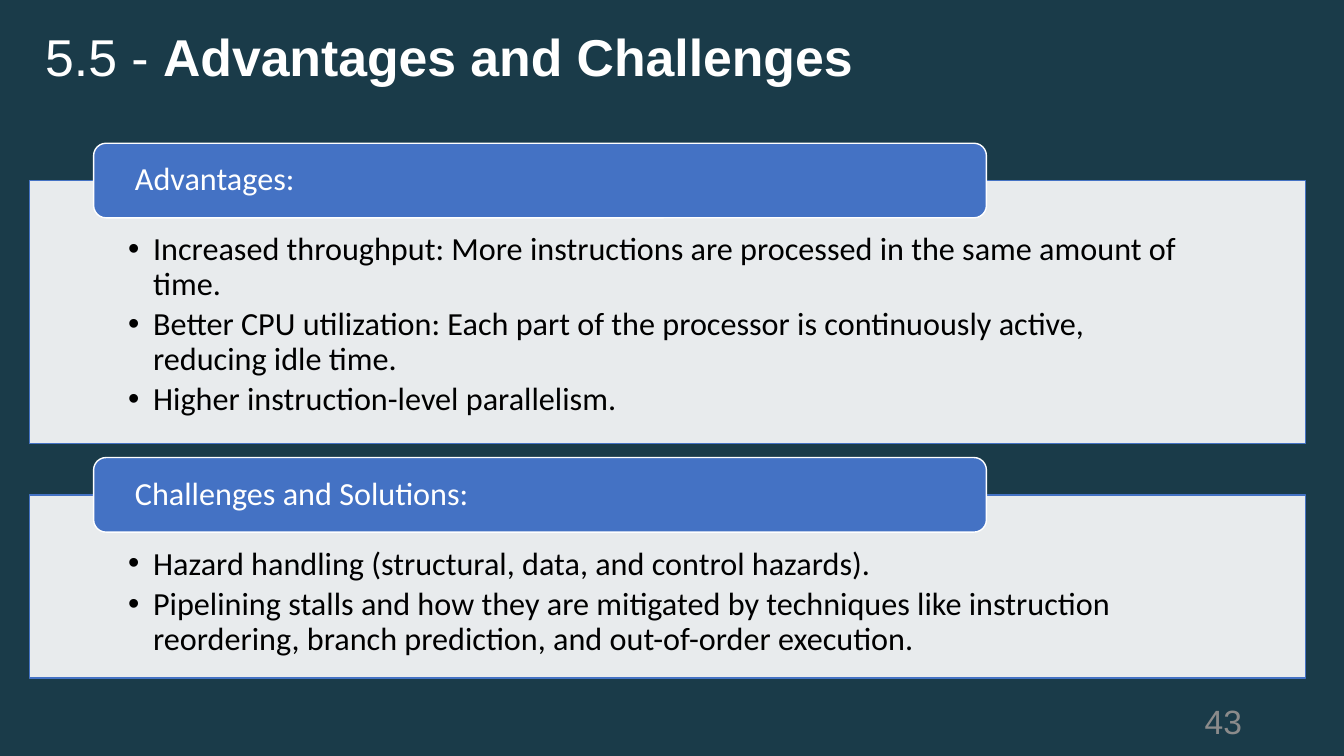
from lxml import etree
from pptx import Presentation
from pptx.dml.color import RGBColor
from pptx.enum.shapes import MSO_SHAPE
from pptx.enum.text import MSO_ANCHOR, PP_ALIGN
from pptx.oxml.ns import qn
from pptx.util import Cm, Pt

RECTANGLE = MSO_SHAPE.RECTANGLE
ROUNDED = MSO_SHAPE.ROUNDED_RECTANGLE
TOP, MIDDLE = MSO_ANCHOR.TOP, MSO_ANCHOR.MIDDLE
LEFT, RIGHT = PP_ALIGN.LEFT, PP_ALIGN.RIGHT

NAVY, BLUE, WHITE, BLACK, GREY = "1A3B49", "4472C4", "FFFFFF", "000000", "8B8B8B"

# Heading, top and height of the panel, bullets
SECTIONS = [
    ("Advantages:", 4.55, 6.63, [
        "Increased throughput: More instructions are processed in the same amount of time.",
        "Better CPU utilization: Each part of the processor is continuously active, reducing idle time.",
        "Higher instruction-level parallelism.",
    ]),
    ("Challenges and Solutions:", 12.47, 4.62, [
        "Hazard handling (structural, data, and control hazards).",
        "Pipelining stalls and how they are mitigated by techniques like instruction "
        "reordering, branch prediction, and out-of-order execution.",
    ]),
]
TAB_HEIGHT = 1.88


def color(hex_code):
    return RGBColor.from_string(hex_code)


def add_panel(kind, left, top, width, height, fill, line, anchor, side, above, below):
    """Add a filled shape with the given text margins and return it."""
    panel = slide.shapes.add_shape(kind, Cm(left), Cm(top), Cm(width), Cm(height))
    panel.shadow.inherit = False
    panel.fill.solid()
    panel.fill.fore_color.rgb = color(fill)
    panel.line.color.rgb = color(line)
    panel.line.width = Pt(1)
    frame = panel.text_frame
    frame.word_wrap = True
    frame.vertical_anchor = anchor
    frame.margin_left = frame.margin_right = Cm(side)
    frame.margin_top, frame.margin_bottom = Cm(above), Cm(below)
    return panel


prs = Presentation()
prs.slide_width, prs.slide_height = Cm(33.87), Cm(19.05)
slide = prs.slides.add_slide(prs.slide_layouts[6])
slide.background.fill.solid()
slide.background.fill.fore_color.rgb = color(NAVY)

# Title and page number
title = slide.shapes.add_textbox(Cm(0.89), Cm(0.64), Cm(29.21), Cm(1.73)).text_frame
page_number = slide.shapes.add_textbox(Cm(23.93), Cm(17.65), Cm(7.62), Cm(1.02)).text_frame
for frame, runs, size, ink, align in [
    (title, [("5.5 - ", False), ("Advantages and Challenges", True)], 37, WHITE, LEFT),
    (page_number, [("43", False)], 24, GREY, RIGHT),
]:
    frame.word_wrap = True
    frame.vertical_anchor = MIDDLE
    line = frame.paragraphs[0]
    line.alignment = align
    line.font.name, line.font.size = "Arial", Pt(size)
    line.font.color.rgb = color(ink)
    for text, bold in runs:
        run = line.add_run()
        run.text = text
        run.font.bold = bold
title.paragraphs[0].line_spacing = 0.9

# Each section is a pale panel with a heading tab across its top edge
for heading, top, height, bullets in SECTIONS:
    body = add_panel(RECTANGLE, 0.74, top, 32.16, height, WHITE, BLUE, TOP, 2.49, 1.32, 0.46)
    fill_color = body.fill._xPr.find(qn("a:solidFill"))[0]
    etree.SubElement(fill_color, qn("a:alpha"), val="90000")
    tab = add_panel(ROUNDED, 2.36, top - TAB_HEIGHT / 2, 22.5, TAB_HEIGHT,
                    BLUE, WHITE, MIDDLE, 0.95, 0, 0)

    body.text_frame.text = "\n".join(bullets)
    tab.text_frame.text = heading
    for panel, ink in [(body, BLACK), (tab, WHITE)]:
        for paragraph in panel.text_frame.paragraphs:
            paragraph.alignment = LEFT
            paragraph.line_spacing = 0.9
            if panel is body:
                paragraph.space_after = Pt(4)
                properties = paragraph._p.get_or_add_pPr()
                properties.set("marL", str(Cm(0.63)))
                properties.set("indent", str(Cm(-0.63)))
                etree.SubElement(properties, qn("a:buFont"), typeface="Arial")
                etree.SubElement(properties, qn("a:buChar"), char="•")
            paragraph.font.name, paragraph.font.size = "Calibri", Pt(23)
            paragraph.font.color.rgb = color(ink)

prs.save("out.pptx")
